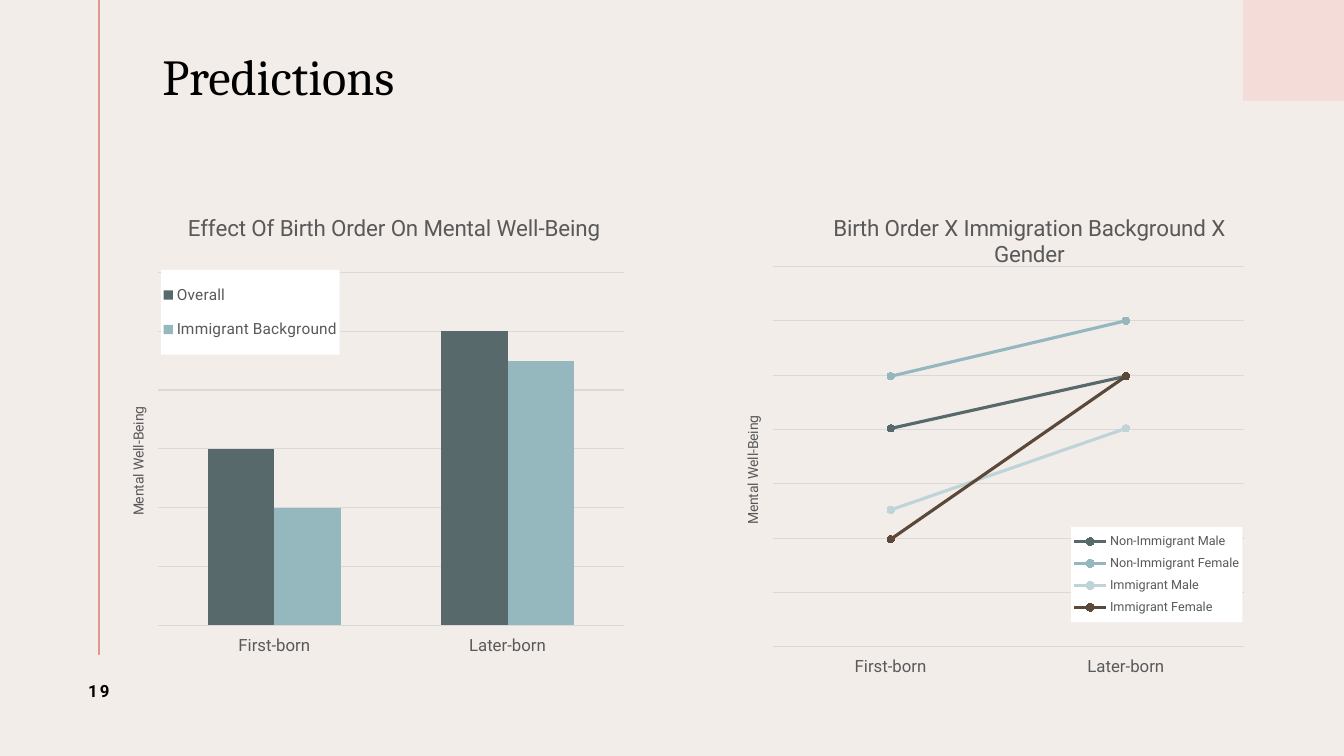
from lxml import etree
from pptx import Presentation
from pptx.chart.data import CategoryChartData
from pptx.dml.color import RGBColor
from pptx.enum.chart import XL_CHART_TYPE as CT, XL_LEGEND_POSITION as LP
from pptx.enum.chart import XL_MARKER_STYLE as MS, XL_TICK_LABEL_POSITION as TL, XL_TICK_MARK as TM
from pptx.enum.shapes import MSO_CONNECTOR as MC, MSO_SHAPE
from pptx.enum.text import MSO_ANCHOR as MA, PP_ALIGN as PA
from pptx.oxml import parse_xml
from pptx.oxml.ns import nsdecls, qn
from pptx.util import Inches, Pt

W, H = 13.33, 7.5
TITLE, NUMBER = "Predictions", "19"
CATEGORIES = ["First-born", "Later-born"]
AXIS_TITLE = "Mental Well-Being"
GREY, GRID, BLACK = "595959", "D9D9D9", "000000"
CHARTS = [
    dict(kind=CT.COLUMN_CLUSTERED, title="Effect Of Birth Order On Mental Well-Being",
         left=1.08, width=5.58, step=20, steps=6, legend_size=11,
         plot=(0.087, 0.167, 0.829, 0.721), legend=(0.093, 0.162, 0.317, 0.173),
         heading=(0.133, 0.04), axis=(0.032, 0.436),
         series=[("Overall", (60, 100), "58696B"),
                 ("Immigrant Background", (40, 90), "95B8BF")]),
    dict(kind=CT.LINE_MARKERS, title="Birth Order X Immigration Background X Gender",
         left=7.3, width=5.74, step=16.67, steps=7, legend_size=9,
         plot=(0.064, 0.155, 0.813, 0.777), legend=(0.579, 0.687, 0.296, 0.194),
         heading=(0.161, 0.04), axis=(0.009, 0.454),
         series=[("Non-Immigrant Male", (67, 83), "58696B"),
                 ("Non-Immigrant Female", (83, 100), "95B8BF"),
                 ("Immigrant Male", (42, 67), "BFD4D9"),
                 ("Immigrant Female", (33, 83), "5B4839")]),
]


def rgb(value):
    return RGBColor.from_string(value)


def paint(fill, color):
    fill.solid()
    fill.fore_color.rgb = rgb(color)


def stroke(line, color, width):
    paint(line.fill, color)
    line.width = Pt(width)


def style(font, size, color, name="Roboto", bold=False):
    font.size, font.name, font.bold = Pt(size), name, bold
    font.color.rgb = rgb(color)


def place(el, index, box, inner=False):
    """Give a chart part a manual layout in shares of the chart."""
    for old in el.findall(qn("c:layout")):
        el.remove(old)
    layout = parse_xml(f'<c:layout {nsdecls("c")}><c:manualLayout/></c:layout>')
    items = [("layoutTarget", "inner")] if inner else []
    items += [("xMode", "edge"), ("yMode", "edge")] + list(zip("xywh", box))
    for tag, value in items:
        etree.SubElement(layout[0], qn("c:" + tag)).set("val", str(value))
    el.insert(index, layout)


def add_text(s, text, box, size, font="Roboto", bold=False):
    tf = s.shapes.add_textbox(*map(Inches, box)).text_frame
    tf.word_wrap, tf.vertical_anchor = True, MA.MIDDLE
    p = tf.paragraphs[0]
    p.text = text
    style(p.font, size, BLACK, font, bold)
    return tf


def set_title(owner, text, size, spot):
    owner.has_title = True
    title = owner.chart_title if hasattr(owner, "chart_title") else owner.axis_title
    p = title.text_frame.paragraphs[0]
    p.text = text
    style(p.font, size, GREY)
    place(title._element, 1, spot)


def add_chart(s, c):
    data = CategoryChartData()
    data.categories = CATEGORIES
    for name, values, _ in c["series"]:
        data.add_series(name, values)
    box = map(Inches, (c["left"], 1.89, c["width"], 4.86))
    chart = s.shapes.add_chart(c["kind"], *box, data).chart
    style(chart.font, 10, BLACK)
    set_title(chart, c["title"], 16, c["heading"])
    place(chart._chartSpace.chart.plotArea, 0, c["plot"], inner=True)

    cat, val = chart.category_axis, chart.value_axis
    cat.major_tick_mark = cat.minor_tick_mark = TM.NONE
    cat.tick_label_position = TL.LOW
    style(cat.tick_labels.font, 12, GREY)
    stroke(cat.format.line, GRID, 0.75)
    val.minimum_scale, val.maximum_scale = 0, c["step"] * c["steps"]
    val.major_unit = c["step"]
    val.has_major_gridlines = True
    stroke(val.major_gridlines.format.line, GRID, 0.75)
    set_title(val, AXIS_TITLE, 10, c["axis"])
    val.visible = False

    chart.has_legend = True
    legend = chart.legend
    legend.position, legend.include_in_layout = LP.RIGHT, False
    style(legend.font, c["legend_size"], GREY)
    place(legend._element, 1, c["legend"])
    legend._element.find(qn("c:txPr")).addprevious(parse_xml(
        f'<c:spPr {nsdecls("c", "a")}><a:solidFill><a:srgbClr val="FFFFFF"/></a:solidFill></c:spPr>'))

    plot = chart.plots[0]
    plot.vary_by_categories = False
    if c["kind"] == CT.COLUMN_CLUSTERED:
        plot.gap_width, plot.overlap = 150, 0
    for series, (_, _, color) in zip(plot.series, c["series"]):
        if c["kind"] == CT.COLUMN_CLUSTERED:
            paint(series.format.fill, color)
            continue
        series.smooth = False
        stroke(series.format.line, color, 2.25)
        marker = series.marker
        marker.style, marker.size = MS.CIRCLE, 5
        paint(marker.format.fill, color)
        stroke(marker.format.line, color, 0.75)


def main():
    prs = Presentation()
    prs.slide_width, prs.slide_height = Inches(W), Inches(H)
    s = prs.slides.add_slide(prs.slide_layouts[6])
    paint(s.background.fill, "F3EDEA")

    corner = s.shapes.add_shape(MSO_SHAPE.RECTANGLE, Inches(W - 1), 0, Inches(1), Inches(1))
    corner.shadow.inherit = False
    paint(corner.fill, "F4DDD8")
    corner.line.fill.background()
    rule = s.shapes.add_connector(MC.STRAIGHT, Inches(0.98), 0, Inches(0.98), Inches(6.5))
    stroke(rule.line, "DF998B", 1.5)
    etree.SubElement(rule._element.spPr, qn("a:effectLst"))

    tf = add_text(s, TITLE, (1.61, 0.01, 10.73, 1.56), 36, "Cambria")
    tf.margin_left = 0
    tf.paragraphs[0].line_spacing = 0.9
    p = add_text(s, NUMBER, (0.45, 6.5, 1.06, 0.71), 12, bold=True).paragraphs[0]
    p.alignment = PA.CENTER
    p.runs[0].font._element.set("spc", "150")

    for c in CHARTS:
        add_chart(s, c)
    prs.save("out.pptx")


if __name__ == "__main__":
    main()
